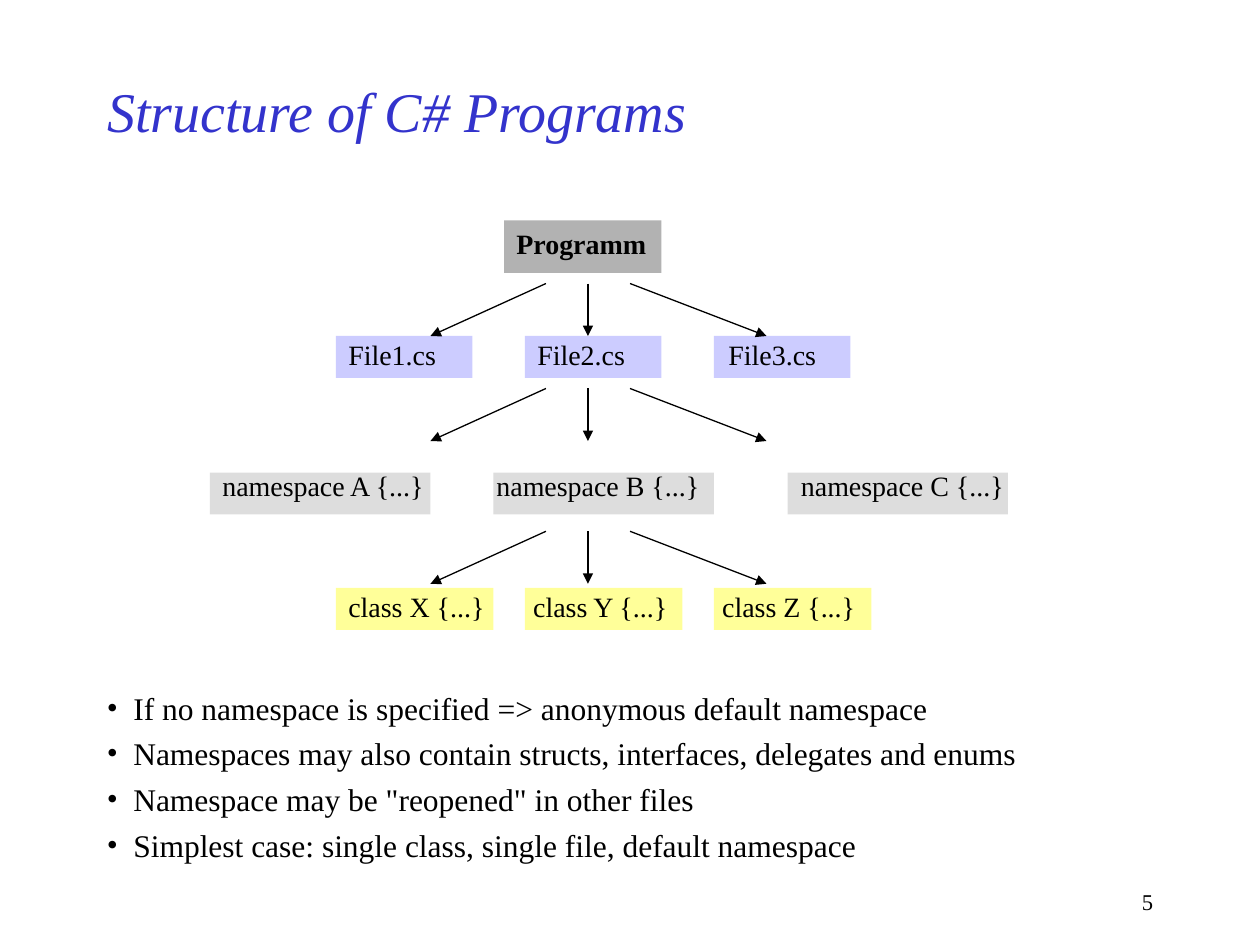
import dataclasses
import typing

import pptx
import pptx.dml.color
import pptx.enum.shapes
import pptx.enum.text
import pptx.oxml.ns
import pptx.util
from lxml import etree

FONT = "Times New Roman"
COLS, ROWS = 120, 90  # grid over the whole slide

prs = pptx.Presentation()
prs.slide_width = pptx.util.Inches(10)
prs.slide_height = pptx.util.Inches(7.5)


@dataclasses.dataclass
class Node:
    text: str
    col: float
    shift: float = 0  # label offset from the box, in columns


@dataclasses.dataclass
class Level:
    row: float
    width: float
    height: float
    color: str
    label_row: float
    label_width: float
    nodes: list[Node]
    bold: bool = False


LEVELS = [
    Level(21, 15, 5, "B2B2B2", 21, 15.5, [Node("Programm", 48)], bold=True),
    Level(32, 13, 4, "CCCCFF", 31.6, 11.5,
          [Node("File1.cs", 32), Node("File2.cs", 50), Node("File3.cs", 68, 0.2)]),
    Level(45, 21, 4, "DDDDDD", 44, 22.5,
          [Node("namespace A {...}", 20), Node("namespace B {...}", 47, -0.9),
           Node("namespace C {...}", 75, 0.1)]),
    Level(56, 15, 4, "FFFF99", 55.6, 16,
          [Node("class X {...}", 32), Node("class Y {...}", 50, -0.4),
           Node("class Z {...}", 68, -0.4)]),
]
ARROW_ROWS = [27, 37, 50.6]
ARROW_DROP = 5
ARROW_COLS = [(56, 56), (52, 41), (60, 73)]
BULLETS = [
    "If no namespace is specified => anonymous default namespace",
    "Namespaces may also contain structs, interfaces, delegates and enums",
    'Namespace may be "reopened" in other files',
    "Simplest case: single class, single file, default namespace",
]


def x(col: float) -> int:
    return round(prs.slide_width * col / COLS)


def y(row: float) -> int:
    return round(prs.slide_height * row / ROWS)


def rgb(color: str) -> pptx.dml.color.RGBColor:
    return pptx.dml.color.RGBColor.from_string(color)


def add_run(p: typing.Any, text: str, size: float, color: str = "000000",
            bold: bool = False, italic: bool = False) -> None:
    r = p.add_run()
    r.text = text
    r.font.name, r.font.size = FONT, pptx.util.Pt(size)
    r.font.bold, r.font.italic = bold, italic
    r.font.color.rgb = rgb(color)


def add_text_box(s: typing.Any, col: float, row: float, width: float,
                 height: float) -> typing.Any:
    tf = s.shapes.add_textbox(x(col), y(row), x(width), y(height)).text_frame
    tf.word_wrap = True
    return tf


def add_box(s: typing.Any, level: Level, node: Node) -> None:
    sp = s.shapes.add_shape(pptx.enum.shapes.MSO_SHAPE.RECTANGLE, x(node.col),
                            y(level.row), x(level.width), y(level.height))
    sp.shadow.inherit = False
    sp.fill.solid()
    sp.fill.fore_color.rgb = rgb(level.color)
    sp.line.fill.background()


def add_label(s: typing.Any, level: Level, node: Node) -> None:
    tf = add_text_box(s, node.col + node.shift, level.label_row,
                      level.label_width, 4.4)
    add_run(tf.paragraphs[0], node.text, 16, bold=level.bold)


def add_arrow(s: typing.Any, start: float, end: float, row: float) -> None:
    line = s.shapes.add_connector(pptx.enum.shapes.MSO_CONNECTOR.STRAIGHT,
                                  x(start), y(row), x(end), y(row + ARROW_DROP))
    line.line.color.rgb = rgb("000000")
    line.line.width = pptx.util.Pt(0.75)
    etree.SubElement(line.line._get_or_add_ln(), pptx.oxml.ns.qn("a:tailEnd"),
                     type="triangle")
    etree.SubElement(line._element.spPr, pptx.oxml.ns.qn("a:effectLst"))


def add_bullet(p: typing.Any, text: str) -> None:
    pPr = p._p.get_or_add_pPr()
    indent = pptx.util.Inches(0.21)
    pPr.set("marL", str(indent))
    pPr.set("indent", str(-indent))
    color = etree.SubElement(pPr, pptx.oxml.ns.qn("a:buClr"))
    etree.SubElement(color, pptx.oxml.ns.qn("a:srgbClr"), val="000000")
    etree.SubElement(pPr, pptx.oxml.ns.qn("a:buFont"), typeface=FONT)
    etree.SubElement(pPr, pptx.oxml.ns.qn("a:buChar"), char="•")
    add_run(p, text, 18)


def main() -> None:
    s = prs.slides.add_slide(prs.slide_layouts[5])

    # Title
    title = s.shapes.title
    title.left, title.top, title.width, title.height = x(9), y(6), x(90), y(9)
    title.text_frame.vertical_anchor = pptx.enum.text.MSO_ANCHOR.MIDDLE
    p = title.text_frame.paragraphs[0]
    p.alignment = pptx.enum.text.PP_ALIGN.LEFT
    add_run(p, "Structure of C# Programs", 32, "3333CC", italic=True)

    # Program tree
    for level in LEVELS:
        for node in level.nodes:
            add_box(s, level, node)
            add_label(s, level, node)
    for row in ARROW_ROWS:
        for start, end in ARROW_COLS:
            add_arrow(s, start, end, row)

    # Bullets
    tf = add_text_box(s, 9, 65, 102, 20)
    for i, text in enumerate(BULLETS):
        p = tf.add_paragraph() if i else tf.paragraphs[0]
        if i:
            p.space_before = pptx.util.Pt(4.5)
        add_bullet(p, text)

    # Slide number
    p = add_text_box(s, 86, 84, 25, 4).paragraphs[0]
    p.alignment = pptx.enum.text.PP_ALIGN.RIGHT
    add_run(p, "5", 12.9)

    prs.save("out.pptx")


if __name__ == "__main__":
    main()
